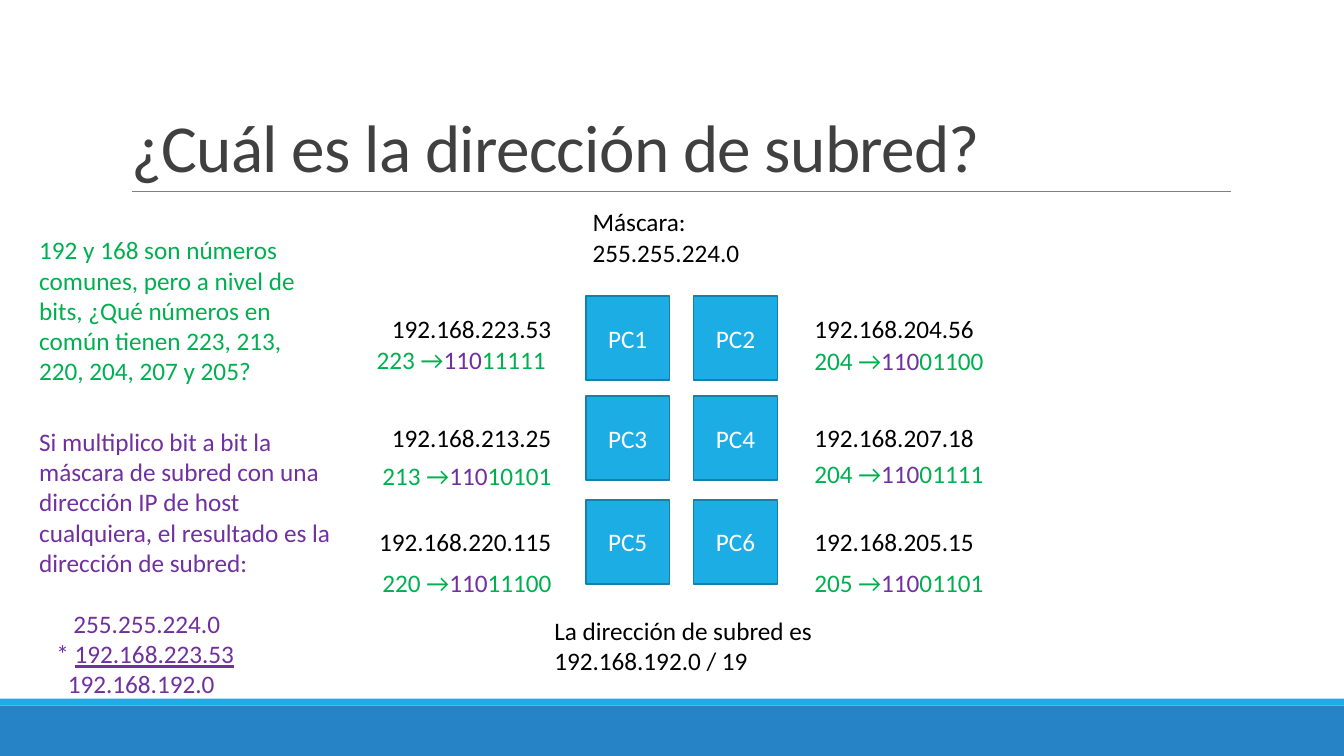
import pptx
import pptx.util
import pptx.dml.color
import pptx.enum.shapes
import pptx.enum.text
import lxml.etree

RGB = pptx.dml.color.RGBColor
Pt = pptx.util.Pt
SHAPE = pptx.enum.shapes.MSO_SHAPE
ALIGN = pptx.enum.text.PP_ALIGN
ANCHOR = pptx.enum.text.MSO_ANCHOR
FIT = pptx.enum.text.MSO_AUTO_SIZE

BLACK = RGB(0x00, 0x00, 0x00)
WHITE = RGB(0xFF, 0xFF, 0xFF)
GRAY = RGB(0x40, 0x40, 0x40)
RULE = RGB(0x80, 0x80, 0x80)
SKY = RGB(0x1C, 0xAD, 0xE4)
EDGE = RGB(0x15, 0x80, 0xA9)
BLUE = RGB(0x26, 0x83, 0xC6)
GREEN = RGB(0x00, 0xB0, 0x50)
PURPLE = RGB(0x70, 0x30, 0xA0)

WIDE = pptx.util.Inches(13.33)
HIGH = pptx.util.Inches(7.5)
COL = WIDE / 100
ROW = HIGH / 100

ROWS = [
    (39.2, 40.8,
     ("PC1", "192.168.223.53", "223", "11111 ", 44.93),
     ("PC2", "192.168.204.56", "204", "01100", 45.07)),
    (52.4, 55.2,
     ("PC3", "192.168.213.25", "213", "10101", 60.27),
     ("PC4", "192.168.207.18", "204", "01111", 60)),
    (66.13, 68.93,
     ("PC5", "192.168.220.115", "220", "11100", 74.4),
     ("PC6", "192.168.205.15", "205", "01101", 74.4)),
]
SIDES = [(43.58, 23.62, ALIGN.RIGHT), (51.6, 59.85, ALIGN.LEFT)]


def place(box):
    """Turn a box in grid columns and rows into slide lengths."""
    x, y, w, h = box
    return round(x * COL), round(y * ROW), round(w * COL), round(h * ROW)


def style(para, color, size=18, align=ALIGN.LEFT):
    """Set the font and alignment of a paragraph."""
    para.alignment = align
    para.font.name = "Calibri"
    para.font.size = Pt(size)
    if color is not None:
        para.font.color.rgb = color


def block(slide, box, fill, edge=None):
    """Draw a flat rectangle in the box."""
    rect = slide.shapes.add_shape(SHAPE.RECTANGLE, *place(box))
    rect.shadow.inherit = False
    rect.fill.solid()
    rect.fill.fore_color.rgb = fill
    if edge is None:
        rect.line.fill.background()
    else:
        rect.line.color.rgb = edge
        rect.line.width = Pt(1.25)
    return rect


def note(slide, box, lines, color, align=ALIGN.LEFT):
    """Write lines of one colour in the box and return its paragraphs."""
    frame = slide.shapes.add_textbox(*place(box)).text_frame
    frame.word_wrap = True
    frame.auto_size = FIT.SHAPE_TO_FIT_TEXT
    frame.text = "\n".join(lines)
    for para in frame.paragraphs:
        style(para, color, align=align)
    return frame.paragraphs


def frame(slide):
    """Draw the bars at the foot and the rule below the title."""
    block(slide, (0, 93.33, 100, 6.67), BLUE)
    block(slide, (0, 92.4, 100, 0.93), SKY)
    x, y, w, h = place((9.83, 25.33, 81.75, 0))
    kind = pptx.enum.shapes.MSO_CONNECTOR.STRAIGHT
    rule = slide.shapes.add_connector(kind, x, y, x + w, y)
    rule.line.color.rgb = RULE
    rule.line.width = Pt(0.5)
    tag = pptx.oxml.ns.qn("a:effectLst")
    lxml.etree.SubElement(rule._element.spPr, tag)


def head(slide, box, text):
    """Fill and place the title."""
    title = slide.shapes.title
    title.left, title.top, title.width, title.height = place(box)
    body = title.text_frame
    body.text = text
    body.word_wrap = True
    body.auto_size = FIT.NONE
    body.vertical_anchor = ANCHOR.BOTTOM
    para = body.paragraphs[0]
    style(para, GRAY, 48)
    para.line_spacing = 0.85
    para.runs[0]._r.get_or_add_rPr().set("spc", "-50")


def host(slide, side, top, line, data):
    """Draw one computer with its address and last bits."""
    left, edge, align = side
    name, address, octet, tail, low = data
    rect = block(slide, (left, top, 6.25, 11.11), SKY, EDGE)
    rect.text_frame.text = name
    rect.text_frame.vertical_anchor = ANCHOR.MIDDLE
    style(rect.text_frame.paragraphs[0], WHITE, align=ALIGN.CENTER)
    note(slide, (edge, line, 18.15, 5.47), [address], BLACK, align)
    para = note(slide, (edge, low, 18.15, 5.47), [""], None, align)[0]
    for text, color in ((octet + " →", GREEN), ("110", PURPLE), (tail, GREEN)):
        run = para.add_run()
        run.text = text
        run.font.color.rgb = color


def product(slide, box):
    """Write the product of mask and host address."""
    lines = ["Si multiplico bit a bit la máscara de subred con una dirección "
             "IP de host cualquiera, el resultado es la dirección de subred:",
             "255.255.224.0", "* ", "192.168.192.0"]
    paras = note(slide, box, lines, PURPLE)
    paras[1].space_before = Pt(22)
    run = paras[2].add_run()
    run.text = "192.168.223.53"
    run.font.underline = True
    for para, indent in zip(paras[1:], (2.55, 1.28, 2.13)):
        para._p.get_or_add_pPr().set("marL", str(round(indent * COL)))


def main():
    """Build and save the slide."""
    deck = pptx.Presentation()
    deck.slide_width, deck.slide_height = WIDE, HIGH
    slide = deck.slides.add_slide(deck.slide_layouts[5])
    frame(slide)
    head(slide, (9, 4.13, 82.5, 21.2), "¿Cuál es la dirección de subred?")
    for top, line, *pair in ROWS:
        for side, data in zip(SIDES, pair):
            host(slide, side, top, line, data)
    note(slide, (43.35, 26.67, 18.15, 9.47),
         ["Máscara: 255.255.224.0"], BLACK)
    note(slide, (40.5, 80.67, 22.2, 9.47),
         ["La dirección de subred es", "192.168.192.0 / 19"], BLACK)
    note(slide, (2.18, 30.4, 22.13, 21.6),
         ["192 y 168 son números comunes, pero a nivel de bits, ¿Qué números "
          "en común tienen 223, 213, 220, 204, 207 y 205?"], GREEN)
    product(slide, (2.18, 55.73, 24.45, 37.73))
    deck.save("out.pptx")


if __name__ == "__main__":
    main()
